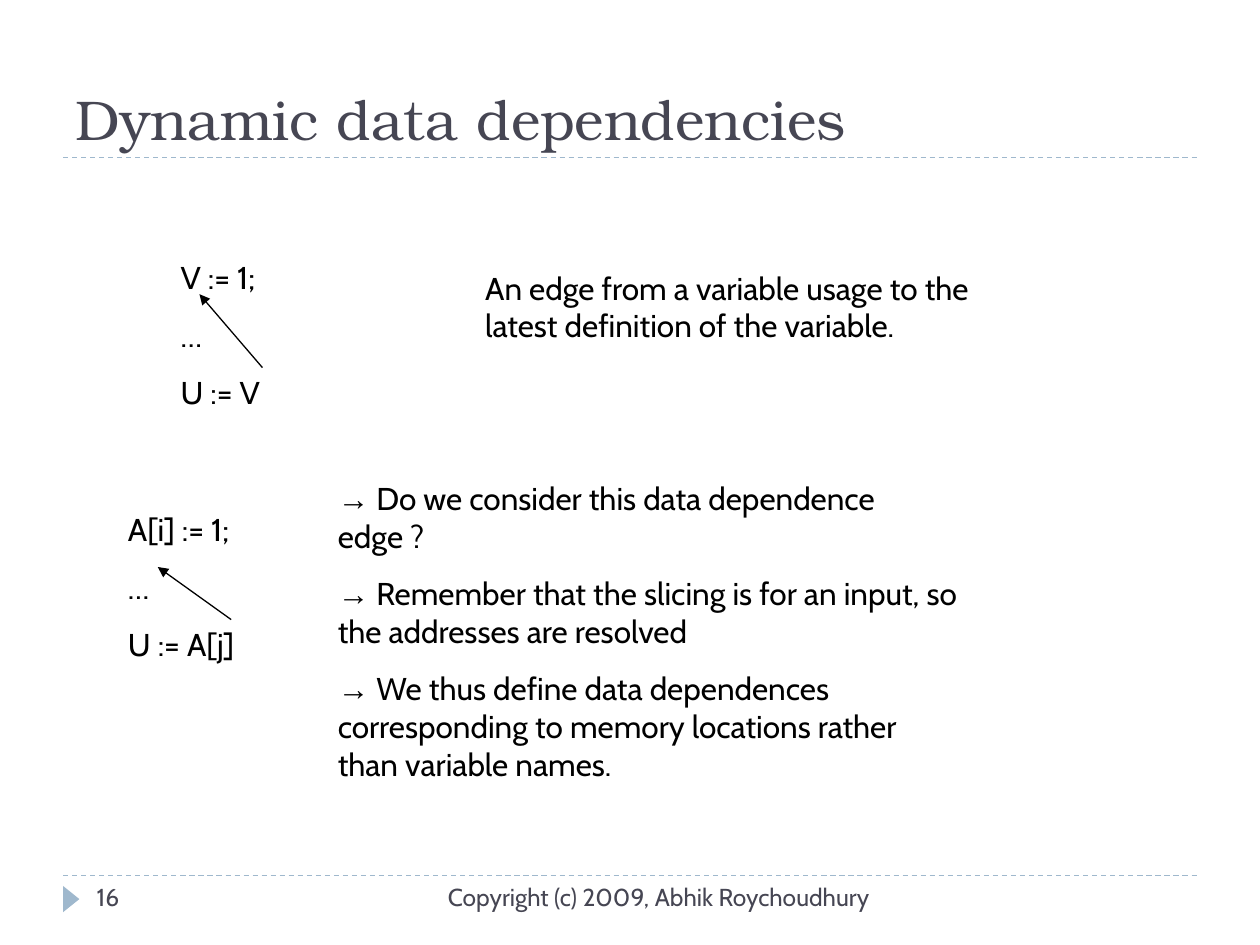
import pptx
import pptx.util
import pptx.dml.color
import pptx.enum.dml
import pptx.enum.shapes
import pptx.enum.text
import pptx.oxml
import pptx.oxml.ns
from pptx.util import Cm, Pt

COLORS = {"heading": "464653", "accent": "9FB8CD", "body": "000000"}
HEADING_FONT, BODY_FONT, SYMBOL_FONT = "TeX Gyre Bonum", "Cabin", "Arial"
ALIGN = pptx.enum.text.PP_ALIGN


def rgb(name):
    return pptx.dml.color.RGBColor.from_string(COLORS[name])


def add_run(paragraph, text, size, font, color):
    run = paragraph.add_run()
    run.text = text
    run.font.size = Pt(size)
    run.font.name = font
    run.font.color.rgb = rgb(color)


def add_text(slide, box, paragraphs, size=18, color="body", align=ALIGN.LEFT, grow=True):
    textbox = slide.shapes.add_textbox(*map(Cm, box))
    frame = textbox.text_frame
    frame.word_wrap = True
    if grow:
        frame.auto_size = pptx.enum.text.MSO_AUTO_SIZE.SHAPE_TO_FIT_TEXT
    for index, runs in enumerate(paragraphs):
        paragraph = frame.add_paragraph() if index else frame.paragraphs[0]
        paragraph.alignment = align
        if index:
            paragraph.space_before = Pt(11.2)
        for text, font in runs:
            add_run(paragraph, text, size, font, color)


def add_line(slide, start, end, color):
    line = slide.shapes.add_connector(
        pptx.enum.shapes.MSO_CONNECTOR.STRAIGHT, *map(Cm, start + end))
    line.line.color.rgb = rgb(color)
    line.line.width = Pt(0.75)
    pptx.oxml.ns.qn("a:effectLst")
    properties = line.line._get_or_add_ln().getparent()
    properties.append(pptx.oxml.parse_xml(
        f"<a:effectLst {pptx.oxml.ns.nsdecls('a')}/>"))
    return line


def add_rule(slide, left, top, width):
    rule = add_line(slide, (left, top), (left + width, top), "accent")
    rule.line.dash_style = pptx.enum.dml.MSO_LINE.DASH


def add_heading(slide, box, text):
    left, top, width, height = box
    add_rule(slide, left, top + height, width)
    title = slide.shapes.title
    title.left, title.top, title.width, title.height = map(Cm, box)
    frame = title.text_frame
    frame.vertical_anchor = pptx.enum.text.MSO_ANCHOR.BOTTOM
    paragraph = frame.paragraphs[0]
    paragraph.alignment = ALIGN.LEFT
    add_run(paragraph, text, 32, HEADING_FONT, "heading")


def add_footer(slide, box, number, copyright_line):
    left, top, width, height = box
    add_rule(slide, left, top, width)
    marker = slide.shapes.add_shape(
        pptx.enum.shapes.MSO_SHAPE.ISOSCELES_TRIANGLE,
        Cm(left - 0.1), Cm(top + 0.31), Cm(0.53), Cm(0.33))
    marker.rotation = 90
    marker.shadow.inherit = False
    marker.fill.solid()
    marker.fill.fore_color.rgb = rgb("accent")
    marker.line.fill.background()
    for offset, span, text, align in (
            (6.78, 9.73, copyright_line, ALIGN.RIGHT),
            (0.43, 5.5, number, ALIGN.LEFT)):
        add_text(slide, (left + offset, top, span, height), [[(text, BODY_FONT)]],
                 14, "heading", align, grow=False)


def add_code_example(slide, box, statements, usage, definition):
    left, top = box[:2]
    add_text(slide, box, [[(statement, BODY_FONT)] for statement in statements])
    edge = add_line(slide, (left + usage[0], top + usage[1]),
                    (left + definition[0], top + definition[1]), "body")
    edge.line._get_or_add_ln().append(pptx.oxml.parse_xml(
        f'<a:tailEnd {pptx.oxml.ns.nsdecls("a")} type="triangle"/>'))


def add_remarks(slide, box, remarks):
    add_text(slide, box, [[("→", SYMBOL_FONT), (" " + remark, BODY_FONT)]
                          for remark in remarks])


def main():
    deck = pptx.Presentation()
    deck.slide_width, deck.slide_height = Cm(25.4), Cm(19.05)
    slide = deck.slides.add_slide(deck.slide_layouts[5])
    add_heading(slide, (1.27, 0.43, 22.86, 2.75), "Dynamic data dependencies")
    add_footer(slide, (1.27, 17.65, 22.86, 1.02), "16",
               "Copyright (c) 2009, Abhik Roychoudhury")
    add_code_example(slide, (3.39, 5.08, 7.2, 3.35),
                     ["V := 1;", "…", "U := V"], (1.9, 2.33), (0.63, 0.85))
    add_text(slide, (9.53, 5.29, 11, 1.78), [[
        ("An edge from a variable usage to the latest definition of the variable.",
         BODY_FONT)]])
    add_code_example(slide, (2.33, 10.16, 5.08, 3.35),
                     ["A[i] := 1;", "…", "U := A[j]"], (2.33, 2.33), (0.85, 1.27))
    add_remarks(slide, (6.56, 9.53, 13.12, 7.54), [
        "Do we consider this data dependence edge ?",
        "Remember that the slicing is for an input, so the addresses are resolved",
        "We thus define data dependences corresponding to memory locations "
        "rather than variable names.",
    ])
    deck.save("out.pptx")


if __name__ == "__main__":
    main()
